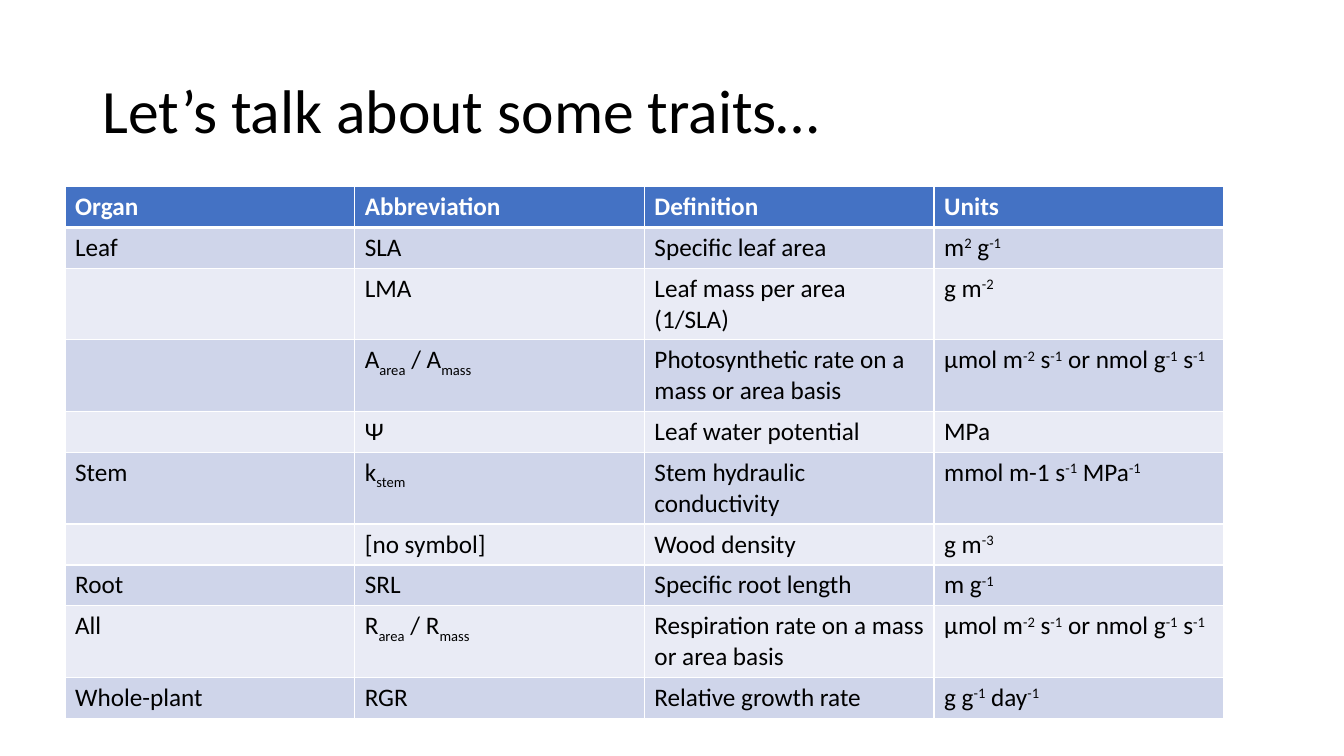
from lxml.etree import SubElement
from pptx import Presentation
from pptx.dml.color import RGBColor
from pptx.enum.text import MSO_ANCHOR, MSO_AUTO_SIZE, PP_ALIGN
from pptx.oxml.ns import qn
from pptx.util import Cm, Pt

TITLE = "Let’s talk about some traits…"
HEADER = ("Organ", "Abbreviation", "Definition", "Units")
# ^...^ marks superscript, ~...~ marks subscript
RATE_UNITS = "µmol m^-2^ s^-1^ or nmol g^-1^ s^-1^"
TRAITS = [
    ("Leaf", "SLA", "Specific leaf area", "m^2^ g^-1^"),
    ("", "LMA", "Leaf mass per area (1/SLA)", "g m^-2^"),
    ("", "A~area~ / A~mass~", "Photosynthetic rate on a mass or area basis", RATE_UNITS),
    ("", "Ψ", "Leaf water potential", "MPa"),
    ("Stem", "k~stem~", "Stem hydraulic conductivity", "mmol m-1 s^-1^ MPa^-1^"),
    ("", "[no symbol]", "Wood density", "g m^-3^"),
    ("Root", "SRL", "Specific root length", "m g^-1^"),
    ("All", "R~area~ / R~mass~", "Respiration rate on a mass or area basis", RATE_UNITS),
    ("Whole-plant", "RGR", "Relative growth rate", "g g^-1^ day^-1^"),
]
FONT = "Calibri"
BLACK, WHITE, BLUE = "000000", "FFFFFF", "4472C4"
BANDS = ("CFD5EA", "E9EBF5")
SUPERSCRIPT, SUBSCRIPT = 30000, -25000
COLUMN_WIDTH, ROW_HEIGHT = Cm(7.3), Cm(1.03)


def color(value):
    return RGBColor.from_string(value)


def split_scripts(text):
    """Yield (piece, baseline shift) pairs from marked-up text."""
    for i, part in enumerate(text.split("^")):
        if i % 2:
            yield part, SUPERSCRIPT
            continue
        for j, piece in enumerate(part.split("~")):
            if piece:
                yield piece, SUBSCRIPT if j % 2 else 0


def write(para, text, size=18, fill=BLACK, bold=False):
    for piece, shift in split_scripts(text):
        span = para.add_run()
        span.text = piece
        font = span.font
        font.name, font.size, font.bold = FONT, Pt(size), bold
        font.color.rgb = color(fill)
        if shift:
            font._element.set("baseline", str(shift))


def add_borders(cell, **widths):
    """Draw white cell borders, with widths in points for L, R, T and B."""
    properties = cell._tc.get_or_add_tcPr()
    for side, width in widths.items():
        line = SubElement(properties, qn(f"a:ln{side}"), w=str(Pt(width)))
        solid = SubElement(line, qn("a:solidFill"))
        SubElement(solid, qn("a:srgbClr"), val=WHITE)


def add_title(page):
    title = page.shapes.title
    title.left, title.top, title.width, title.height = Cm(2.33), Cm(1.01), Cm(29.21), Cm(3.68)
    frame = title.text_frame
    frame.vertical_anchor = MSO_ANCHOR.MIDDLE
    frame.auto_size = MSO_AUTO_SIZE.NONE
    para = frame.paragraphs[0]
    para.alignment = PP_ALIGN.LEFT
    para.line_spacing = 0.9
    write(para, TITLE, size=44)


def add_traits_table(page):
    rows = [HEADER] + TRAITS
    table = page.shapes.add_table(
        len(rows), len(HEADER), Cm(1.64), Cm(4.7),
        COLUMN_WIDTH * len(HEADER), ROW_HEIGHT * len(rows)).table
    for column in table.columns:
        column.width = COLUMN_WIDTH
    for r, row in enumerate(rows):
        table.rows[r].height = ROW_HEIGHT
        is_header = r == 0
        for c, text in enumerate(row):
            cell = table.cell(r, c)
            add_borders(cell, L=1, R=1, T=3 if r == 1 else 1, B=3 if is_header else 1)
            cell.fill.solid()
            cell.fill.fore_color.rgb = color(BLUE if is_header else BANDS[(r - 1) % 2])
            write(cell.text_frame.paragraphs[0], text,
                  fill=WHITE if is_header else BLACK, bold=is_header)


def main():
    deck = Presentation()
    deck.slide_width, deck.slide_height = Cm(33.87), Cm(19.05)
    page = deck.slides.add_slide(deck.slide_layouts[5])
    add_title(page)
    add_traits_table(page)
    deck.save("out.pptx")


if __name__ == "__main__":
    main()
